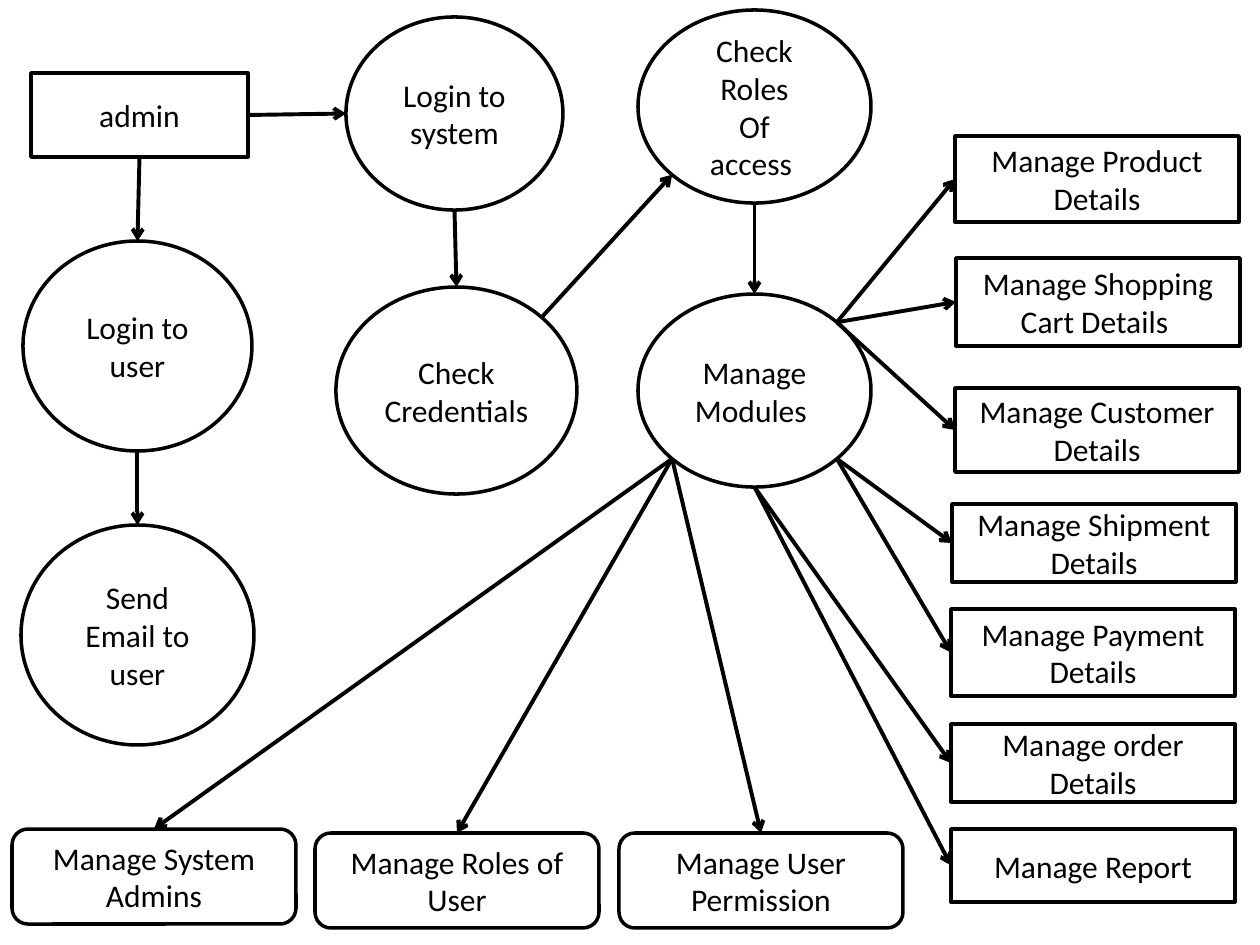
from dataclasses import dataclass
from enum import Enum
from math import sqrt

from lxml.etree import SubElement
from pptx import Presentation
from pptx.dml.color import RGBColor
from pptx.enum.shapes import MSO_CONNECTOR, MSO_SHAPE
from pptx.enum.text import MSO_ANCHOR, PP_ALIGN
from pptx.oxml.ns import qn
from pptx.util import Emu, Pt

SCALE = 914400 / 126
DIAG = 1 / sqrt(2)
INK, PAPER = "000000", "FFFFFF"
RECT, ROUND, OVAL = MSO_SHAPE.RECTANGLE, MSO_SHAPE.ROUNDED_RECTANGLE, MSO_SHAPE.OVAL


class Side(Enum):
    """Direction from a node's centre, in half widths and half heights."""
    TOP = (0, -1)
    LEFT = (-1, 0)
    BOTTOM = (0, 1)
    RIGHT = (1, 0)
    NE = (DIAG, -DIAG)
    SE = (DIAG, DIAG)
    SW = (-DIAG, DIAG)


SITES = [Side.TOP, Side.LEFT, Side.BOTTOM, Side.RIGHT]


@dataclass(frozen=True)
class Node:
    text: str
    kind: MSO_SHAPE
    x: int
    y: int
    w: int
    h: int

    def spot(self, side: Side) -> tuple[Emu, Emu]:
        dx, dy = side.value
        return px(self.x + self.w * (1 + dx) / 2), px(self.y + self.h * (1 + dy) / 2)

    def joins(self, side: Side) -> bool:
        """Whether the side has a connection site numbered as on a rectangle."""
        return side is Side.TOP or (self.kind != OVAL and side in SITES)


@dataclass(frozen=True)
class Arrow:
    start: Node
    out: Side
    end: Node
    into: Side


def px(n: float) -> Emu:
    return Emu(round(n * SCALE))


def rgb(code: str) -> RGBColor:
    return RGBColor.from_string(code)


def draw_node(slide, node: Node):
    shape = slide.shapes.add_shape(node.kind, px(node.x), px(node.y), px(node.w), px(node.h))
    shape.shadow.inherit = False
    shape.fill.solid()
    shape.fill.fore_color.rgb = rgb(PAPER)
    shape.line.color.rgb = rgb(INK)
    shape.line.width = Pt(2)
    frame = shape.text_frame
    frame.word_wrap = True
    frame.vertical_anchor = MSO_ANCHOR.MIDDLE
    frame.text = node.text
    for para in frame.paragraphs:
        para.alignment = PP_ALIGN.CENTER
        para.font.name = "Calibri"
        para.font.size = Pt(18)
        para.font.color.rgb = rgb(INK)
    return shape


def draw_arrow(slide, arrow: Arrow, shapes: dict) -> None:
    line = slide.shapes.add_connector(
        MSO_CONNECTOR.STRAIGHT, *arrow.start.spot(arrow.out), *arrow.end.spot(arrow.into))
    line.line.color.rgb = rgb(INK)
    line.line.width = Pt(2.25)
    SubElement(line.line._get_or_add_ln(), qn("a:tailEnd"), type="arrow")
    SubElement(line._element.spPr, qn("a:effectLst"))
    if arrow.start.joins(arrow.out):
        line.begin_connect(shapes[arrow.start], SITES.index(arrow.out))
    if arrow.end.joins(arrow.into):
        line.end_connect(shapes[arrow.end], SITES.index(arrow.into))


ADMIN = Node("admin", RECT, 31, 73, 217, 84)
LOGIN = Node("Login to system", OVAL, 346, 17, 217, 193)
CHECK = Node("Check\nCredentials", OVAL, 336, 287, 241, 207)
USER = Node("Login to user", OVAL, 23, 241, 229, 210)
EMAIL = Node("Send Email to user", OVAL, 21, 525, 233, 220)
ROLES = Node("Check Roles\nOf\naccess ", OVAL, 638, 10, 233, 193)
HUB = Node("Manage\nModules ", OVAL, 638, 294, 233, 193)

# Right column: text, left, top, height and the side of the hub it hangs from
RIGHT = [
    ("Manage Product Details", 955, 136, 86, Side.NE),
    ("Manage Shopping Cart Details ", 956, 258, 88, Side.NE),
    ("Manage Customer Details", 955, 388, 84, Side.NE),
    ("Manage Shipment Details", 952, 504, 78, Side.SE),
    ("Manage Payment Details", 951, 609, 87, Side.SE),
    ("Manage order Details", 951, 724, 78, Side.BOTTOM),
    ("Manage Report", 951, 829, 73, Side.BOTTOM),
]
# Bottom row: text, left, top
BOTTOM = [
    ("Manage System Admins", 12, 829),
    ("Manage Roles of User", 315, 833),
    ("Manage User Permission", 619, 833),
]
WIDTH = 284


def main() -> None:
    deck = Presentation()
    deck.slide_width, deck.slide_height = px(1260), px(945)
    slide = deck.slides.add_slide(deck.slide_layouts[6])

    nodes = [ADMIN, LOGIN, CHECK, USER, EMAIL, ROLES, HUB]
    arrows = [
        Arrow(ADMIN, Side.BOTTOM, USER, Side.TOP),
        Arrow(USER, Side.BOTTOM, EMAIL, Side.TOP),
        Arrow(ADMIN, Side.RIGHT, LOGIN, Side.LEFT),
        Arrow(LOGIN, Side.BOTTOM, CHECK, Side.TOP),
        Arrow(CHECK, Side.NE, ROLES, Side.SW),
        Arrow(ROLES, Side.BOTTOM, HUB, Side.TOP),
    ]
    for text, x, y, h, out in RIGHT:
        nodes.append(Node(text, RECT, x, y, WIDTH, h))
        arrows.append(Arrow(HUB, out, nodes[-1], Side.LEFT))
    for text, x, y in BOTTOM:
        nodes.append(Node(text, ROUND, x, y, WIDTH, 95))
        arrows.append(Arrow(HUB, Side.SW, nodes[-1], Side.TOP))

    shapes = {node: draw_node(slide, node) for node in nodes}
    for arrow in arrows:
        draw_arrow(slide, arrow, shapes)
    deck.save("out.pptx")


if __name__ == "__main__":
    main()
